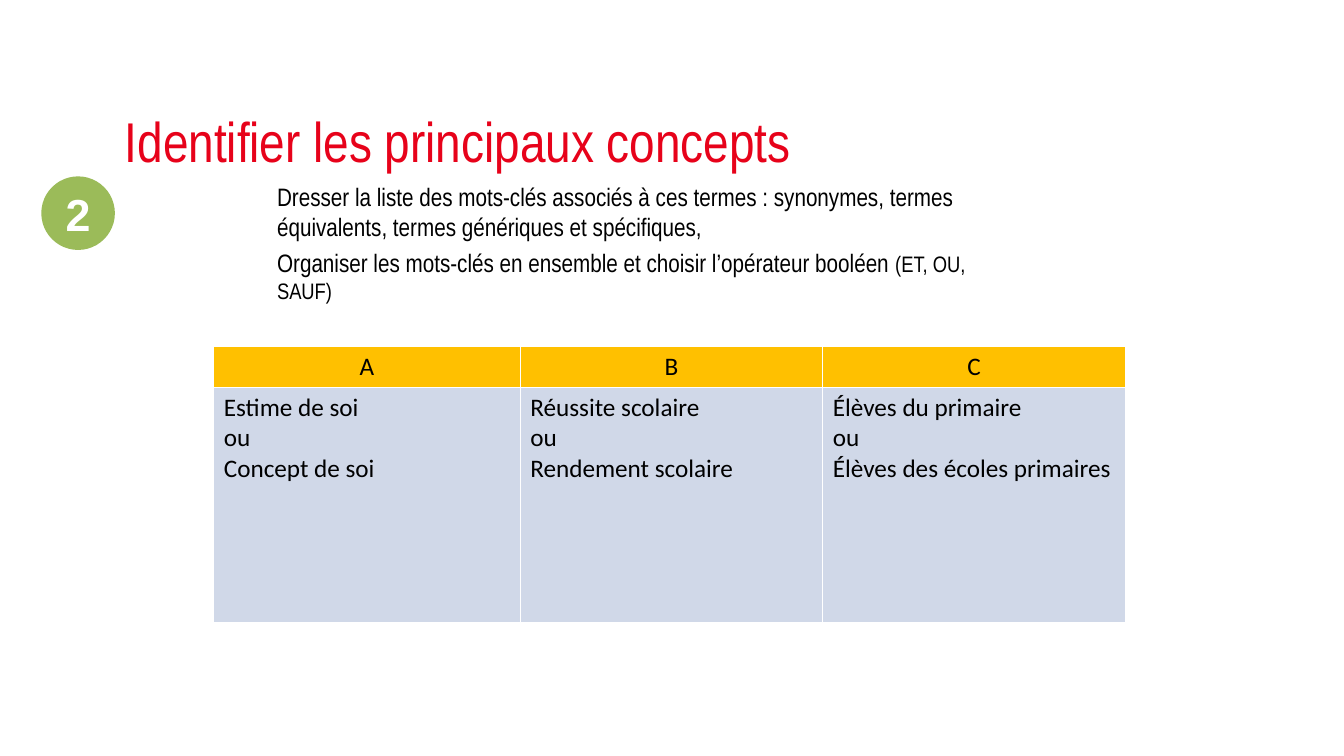
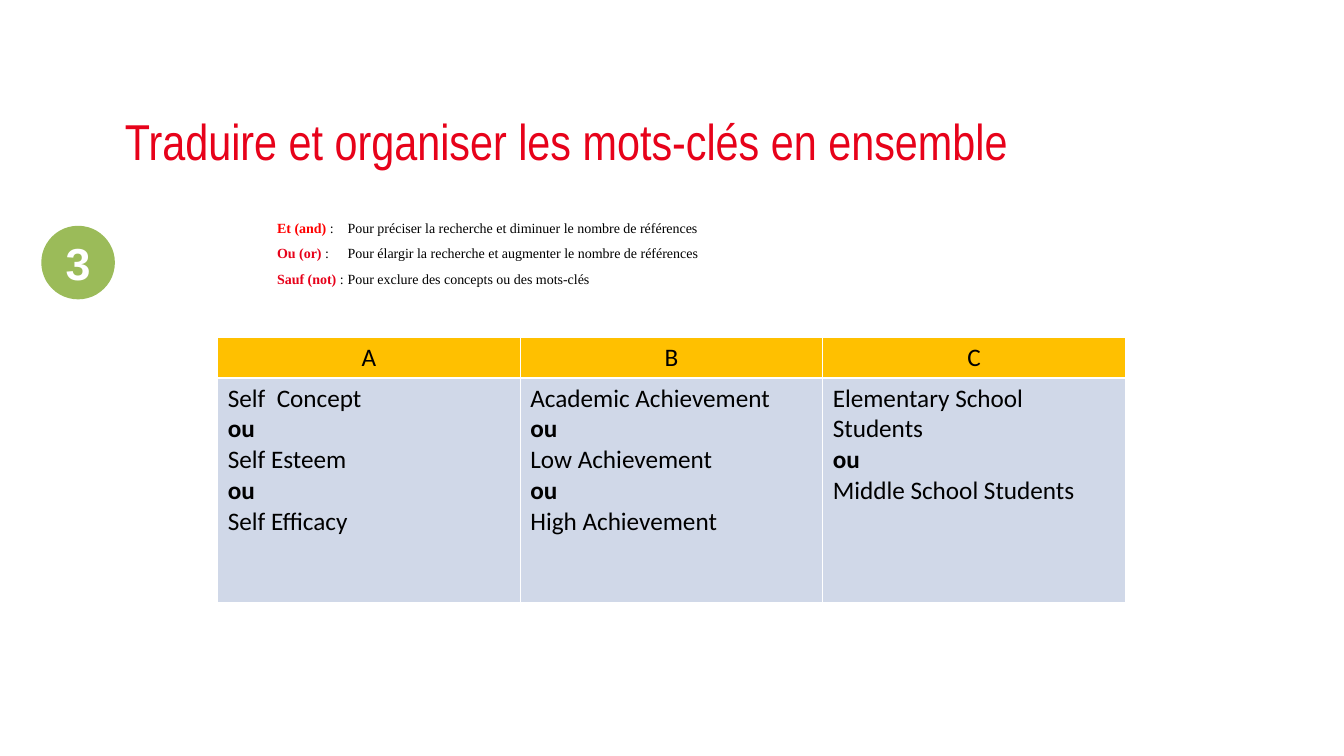
from dataclasses import dataclass
from itertools import product

from lxml import etree
from pptx import Presentation
from pptx import util as u
from pptx.dml.color import RGBColor
from pptx.enum import shapes, text
from pptx.oxml import ns


@dataclass(frozen=True)
class Theme:
    red: str = "E7021A"
    alert: str = "FF0000"
    black: str = "000000"
    white: str = "FFFFFF"
    green: str = "9BBB59"
    gold: str = "FFC000"
    pale: str = "D0D8E8"
    narrow: str = "Arial Narrow"
    serif: str = "Times New Roman"
    table: str = "Calibri"
    badge: str = "Arial"
    big: int = 40
    wide: int = 36
    mark: int = 32
    base: int = 18
    small: int = 16
    note: int = 10


class Deck:
    """Holds the theme and the current slide, and draws each kind of element."""

    def __init__(self, theme):
        self.theme = theme
        self.file = Presentation()
        self.file.slide_width = u.Inches(13.33)
        self.file.slide_height = u.Inches(7.5)
        self.slide = None

    def new(self, title, size):
        self.slide = self.file.slides.add_slide(self.file.slide_layouts[6])
        t = self.theme
        frame = self.box(1.14, 0.98, 12, 0.82)
        frame.vertical_anchor = text.MSO_ANCHOR.MIDDLE
        self.run(frame.paragraphs[0], title, t.narrow, size, t.red)

    def box(self, x, y, w, h):
        frame = self.slide.shapes.add_textbox(
            u.Inches(x), u.Inches(y), u.Inches(w), u.Inches(h)).text_frame
        frame.word_wrap = True
        return frame

    def run(self, para, words, font, size, color, bold=False):
        run = para.add_run()
        run.text = words
        run.font.name = font
        run.font.size = u.Pt(size)
        run.font.bold = bold
        run.font.color.rgb = RGBColor.from_string(color)

    def lines(self, frame, count):
        return [frame.paragraphs[0]] + [frame.add_paragraph() for _ in range(count - 1)]

    def body(self, y, h, rows, font, gap, tab=None):
        frame = self.box(2.65, y, 7.4, h)
        for para, runs in zip(self.lines(frame, len(rows)), rows):
            para.space_before = u.Pt(gap)
            if tab:
                stops = etree.SubElement(para._p.get_or_add_pPr(), ns.qn("a:tabLst"))
                etree.SubElement(stops, ns.qn("a:tab"), pos=str(u.Inches(tab)), algn="l")
            for words, size, color, bold in runs:
                self.run(para, words, font, size, color, bold)

    def badge(self, y, label):
        t = self.theme
        disc = self.slide.shapes.add_shape(
            shapes.MSO_SHAPE.OVAL, u.Inches(0.41), u.Inches(y), u.Inches(0.73), u.Inches(0.73))
        disc.shadow.inherit = False
        disc.fill.solid()
        disc.fill.fore_color.rgb = RGBColor.from_string(t.green)
        disc.line.fill.background()
        frame = disc.text_frame
        frame.margin_left = frame.margin_right = 0
        frame.vertical_anchor = text.MSO_ANCHOR.MIDDLE
        para = frame.paragraphs[0]
        para.alignment = text.PP_ALIGN.CENTER
        self.run(para, label, t.badge, t.mark, t.white, True)

    def edge(self, cell):
        for side in "LRTB":
            line = etree.SubElement(
                cell._tc.get_or_add_tcPr(), ns.qn("a:ln" + side), w=str(u.Pt(1)))
            fill = etree.SubElement(line, ns.qn("a:solidFill"))
            etree.SubElement(fill, ns.qn("a:srgbClr"), val=self.theme.white)

    def table(self, x, y, widths, depth, sets, bold=""):
        t = self.theme
        highs = (0.4, depth)
        grid = self.slide.shapes.add_table(
            2, len(widths), u.Inches(x), u.Inches(y),
            u.Inches(sum(widths)), u.Inches(sum(highs))).table
        grid.horz_banding = False
        for col, width in zip(grid.columns, widths):
            col.width = u.Inches(width)
        for row, high in zip(grid.rows, highs):
            row.height = u.Inches(high)
        cells = ([[head] for head in "ABC"], sets)
        for r, c in product(range(2), range(len(widths))):
            cell, items = grid.cell(r, c), cells[r][c]
            self.edge(cell)
            cell.fill.solid()
            cell.fill.fore_color.rgb = RGBColor.from_string(t.pale if r else t.gold)
            for para, words in zip(self.lines(cell.text_frame, len(items)), items):
                para.alignment = text.PP_ALIGN.LEFT if r else text.PP_ALIGN.CENTER
                self.run(para, words, t.table, t.base, t.black, words == bold)


def main():
    t = Theme()
    deck = Deck(t)

    deck.new("Identifier les principaux concepts", t.big)
    deck.body(1.75, 1.25, [
        [("Dresser la liste des mots-clés associés à ces termes : synonymes, termes "
          "équivalents, termes génériques et spécifiques,", t.base, t.black, False)],
        [("Organiser les mots-clés en ensemble et choisir l’opérateur booléen ",
          t.base, t.black, False),
         ("(ET, OU, SAUF)", t.small, t.black, False)],
    ], t.narrow, 3.6)
    deck.table(2.12, 3.44, (3.04, 3, 3), 2.34, [
        ["Estime de soi", "ou", "Concept de soi"],
        ["Réussite scolaire", "ou", "Rendement scolaire"],
        ["Élèves du primaire", "ou", "Élèves des écoles primaires"],
    ])
    deck.badge(1.75, "2")

    deck.new("Traduire et organiser les mots-clés en ensemble", t.wide)
    rules = [
        ("Et (and) ", t.alert, "Pour préciser la recherche et diminuer le nombre de références"),
        ("Ou (or) ", t.red, "Pour élargir la recherche et augmenter le nombre de références"),
        ("Sauf (not) ", t.red, "Pour exclure des concepts ou des mots-clés"),
    ]
    deck.body(2.13, 0.94, [
        [(term, t.note, color, True), (":\t" + use, t.note, t.black, False)]
        for term, color, use in rules
    ], t.serif, 6, 0.7)
    deck.table(2.16, 3.35, (3, 3, 3), 2.23, [
        ["Self  Concept", "ou", "Self Esteem", "ou", "Self Efficacy"],
        ["Academic Achievement", "ou", "Low Achievement", "ou", "High Achievement"],
        ["Elementary School Students", "ou", "Middle School Students"],
    ], "ou")
    deck.badge(2.24, "3")

    deck.file.save("out.pptx")


if __name__ == "__main__":
    main()
